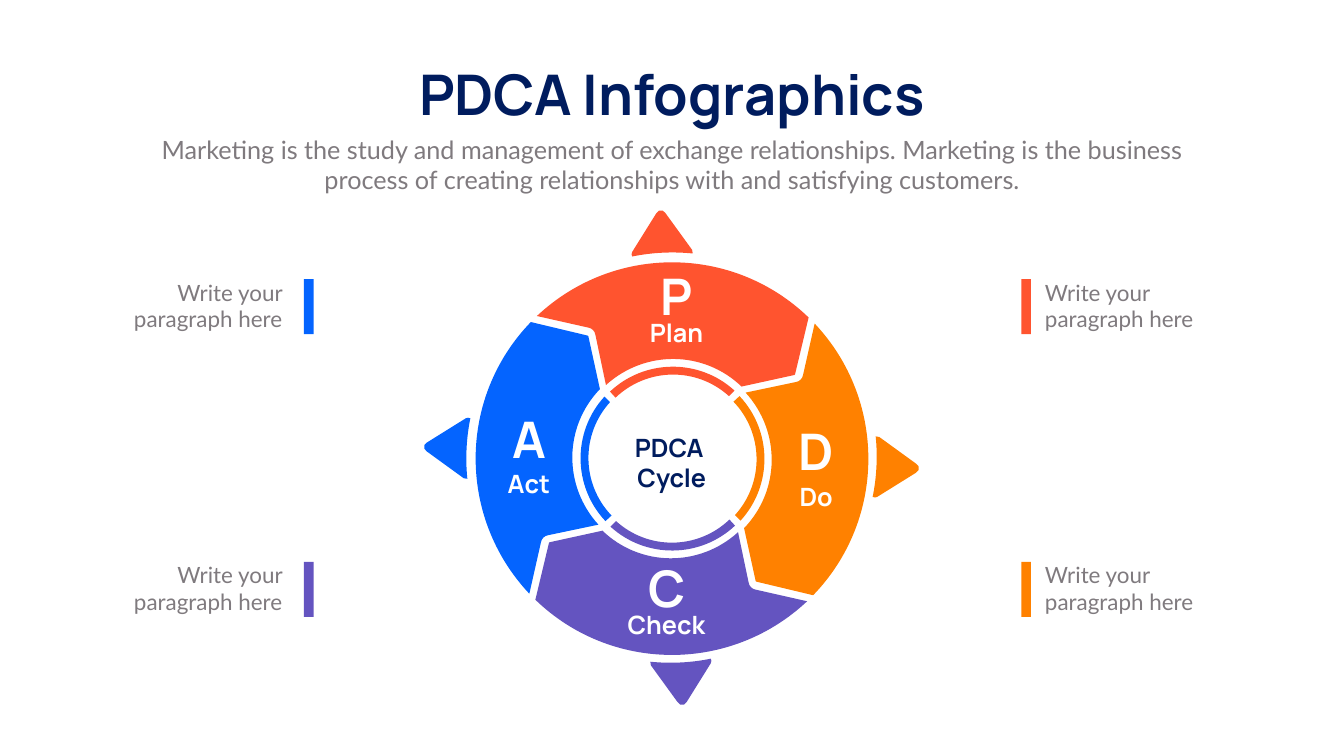
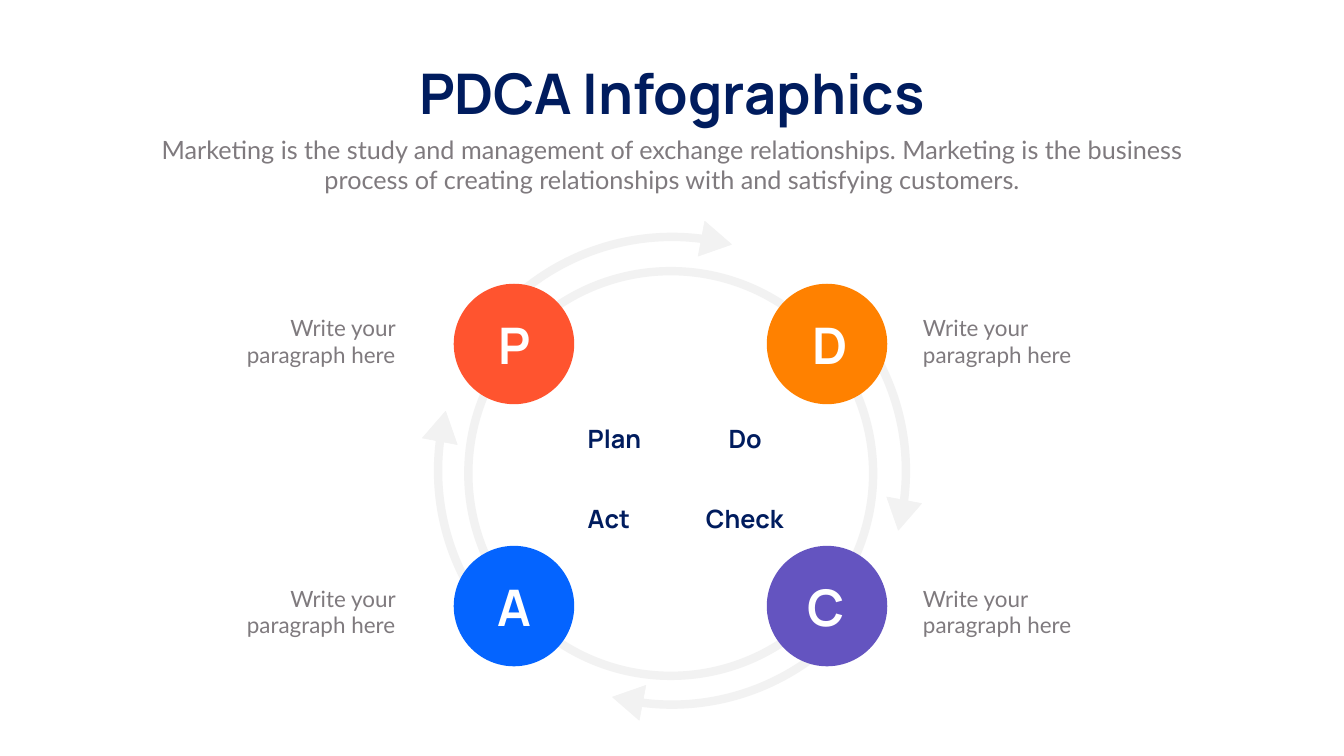
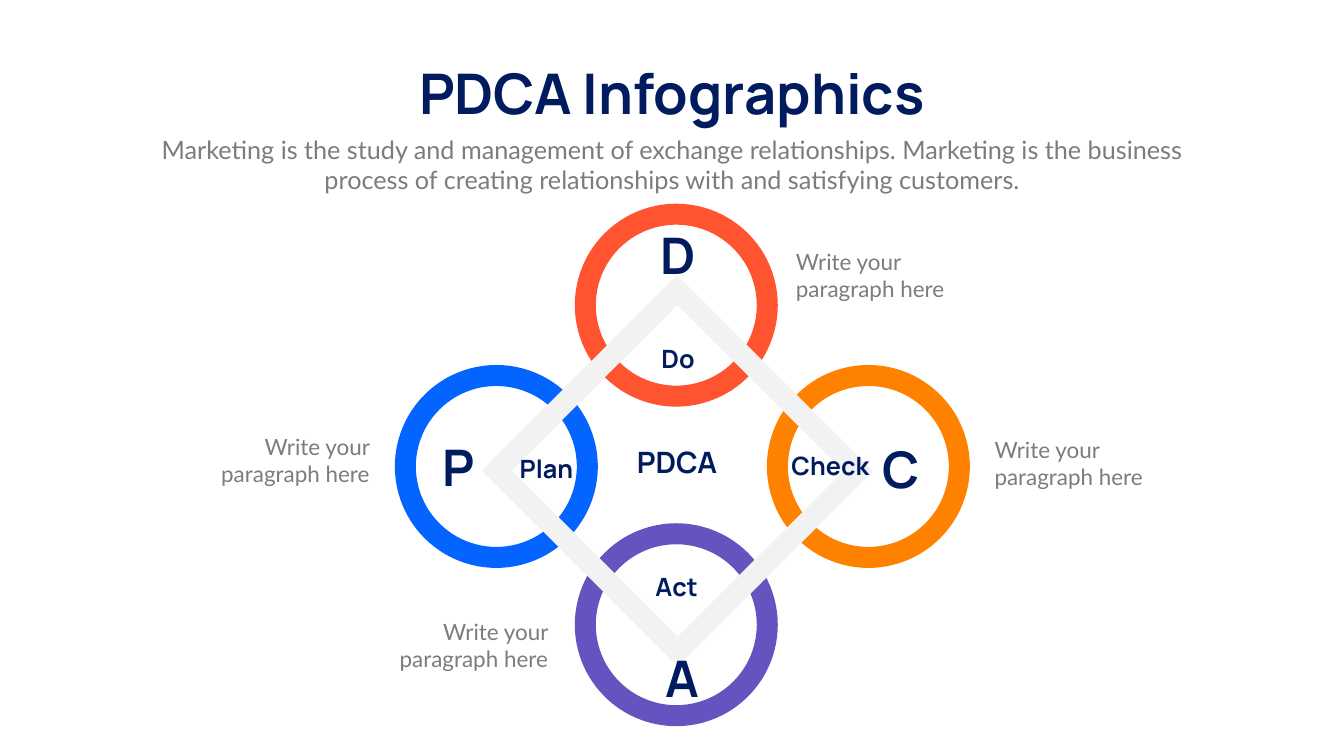
from math import cos, radians, sin

from pptx import Presentation
from pptx.dml.color import RGBColor
from pptx.enum.shapes import MSO_SHAPE
from pptx.enum.text import MSO_AUTO_SIZE, PP_ALIGN
from pptx.oxml.ns import qn
from pptx.oxml.xmlchemy import OxmlElement
from pptx.util import Pt

PX = 9144
RECT, OVAL = MSO_SHAPE.RECTANGLE, MSO_SHAPE.OVAL
LEFT, CENTER, RIGHT = PP_ALIGN.LEFT, PP_ALIGN.CENTER, PP_ALIGN.RIGHT
FIT = MSO_AUTO_SIZE.SHAPE_TO_FIT_TEXT

COLORS = {
    "navy": "001C5E", "gray": "7F7A7E", "white": "FFFFFF", "pale": "F2F2F2",
    "red": "FF542F", "orange": "FF8100", "purple": "6454C0", "blue": "0464FF",
}
HEAD_FONT, BODY_FONT = "Manrope", "Lato"
TITLE = "PDCA Infographics"
INTRO = ("Marketing is the study and management of exchange relationships. "
         "Marketing is the business process of creating relationships with "
         "and satisfying customers.")
NOTE = "Write your paragraph here"


def add_text(s, text, x, y, w, h, size, color="navy", align=CENTER,
             font=HEAD_FONT, wrap=True):
    tf = s.shapes.add_textbox(x * PX, y * PX, w * PX, h * PX).text_frame
    tf.word_wrap = wrap
    tf.auto_size = FIT
    p = tf.paragraphs[0]
    p.alignment = align
    for i, line in enumerate(text.split("\n")):
        if i:
            p.add_line_break()
        r = p.add_run()
        r.text = line
        r.font.name = font
        r.font.size = Pt(size)
        r.font.bold = font == HEAD_FONT
        r.font.color.rgb = RGBColor.from_string(COLORS[color])


def add_form(s, kind, geometry, fill=None, line=None, width=0, rotation=0):
    if kind is None:
        c, d = cos(radians(rotation)), sin(radians(rotation))
        path = [[((x * c + y * d) * PX, (y * c - x * d) * PX) for x, y in seg]
                for seg in geometry]
        edge = [path[0][0]]
        for before, seg in zip(path, path[1:]):
            if len(seg) == 3:
                for t in (i / 20 for i in range(1, 20)):
                    weights = ((1 - t) ** 3, 3 * t * (1 - t) ** 2,
                               3 * t * t * (1 - t), t ** 3)
                    curve = [before[-1]] + seg
                    edge.append(tuple(sum(k * pt[n] for k, pt in zip(weights, curve))
                                      for n in (0, 1)))
            edge.append(seg[-1])
        x0, y0 = (min(pt[n] for pt in edge) for n in (0, 1))
        w, h = (max(pt[n] for pt in edge) - low for n, low in ((0, x0), (1, y0)))
        mid_x, mid_y = x0 + w / 2, y0 + h / 2
        points = [pt for seg in path for pt in seg]
        builder = s.shapes.build_freeform(*points[0])
        builder.add_line_segments(points[1:], close=fill is not None)
        sp = builder.convert_to_shape()
        sp.left = round(mid_x * c - mid_y * d - w / 2)
        sp.top = round(mid_x * d + mid_y * c - h / 2)
        sp.width, sp.height = round(w), round(h)
        outline = sp._element.find(".//" + qn("a:path"))
        outline.set("w", str(round(w)))
        outline.set("h", str(round(h)))
        for node, (x, y) in zip(outline.iter(qn("a:pt")), points):
            node.set("x", str(round(x - x0)))
            node.set("y", str(round(y - y0)))
        steps_left = iter(outline.findall(qn("a:lnTo")))
        for seg in path[1:]:
            nodes = [next(steps_left) for _ in seg]
            if len(seg) == 3:
                bezier = OxmlElement("a:cubicBezTo")
                nodes[0].addprevious(bezier)
                for node in nodes:
                    bezier.append(node[0])
                    outline.remove(node)
    else:
        sp = s.shapes.add_shape(kind, *(v * PX for v in geometry))
    sp.rotation = rotation
    sp.shadow.inherit = False
    if fill:
        sp.fill.solid()
        sp.fill.fore_color.rgb = RGBColor.from_string(COLORS[fill])
    else:
        sp.fill.background()
    if line:
        sp.line.color.rgb = RGBColor.from_string(COLORS[line])
        sp.line.width = Pt(width)
    else:
        sp.line.fill.background()
    return sp


segment = [
    [(138, -143)], [(243, -166)], [(244, -166), (244, -166), (244, -167)],
    [(271, -280)], [(121, -425), (-116, -426), (-268, -283)],
    [(-166, -260)], [(-159, -259), (-153, -253), (-152, -246)],
    [(-131, -146)], [(-54, -216), (63, -215), (138, -143)],
]
band = [
    [(112, -124)], [(123, -135)], [(53, -199), (-55, -198), (-124, -133)],
    [(-113, -121)], [(-50, -181), (48, -182), (112, -124)],
]
pointer = [
    [(42, -405)], [(42, -407), (42, -410), (41, -412)],
    [(-12, -485)], [(-14, -490), (-20, -492), (-25, -490)],
    [(-27, -489), (-29, -487), (-30, -485)],
    [(-78, -408)], [(-80, -405), (-79, -402), (-78, -399)],
    [(-39, -407), (2, -409), (42, -405)],
]
arc = [[(-359, -294)], [(-256, -420), (-93, -483), (68, -459)]]
arrowhead = [[(52, -426)], [(118, -449)], [(65, -495)], [(52, -426)]]

turns = [(1, 0, 0, 1), (0, -1, 1, 0), (-1, 0, 0, -1), (0, 1, -1, 0)]
flips = [(1, 0, 0, 1), (0, -1, -1, 0), (-1, 0, 0, -1), (0, 1, 1, 0)]

prs = Presentation()
prs.slide_width, prs.slide_height = 2666 * PX, 1500 * PX
slides = []
for x, y, w in ((783, 114, 1100), (785, 112, 1096), (785, 112, 1096)):
    s = prs.slides.add_slide(prs.slide_layouts[6])
    add_text(s, TITLE, x, y, w, 145, 80, wrap=False)
    add_text(s, INTRO, 292, 261, 2082, 131, 36, "gray", font=BODY_FONT)
    slides.append(s)
wheel, orbit, diamond = slides

steps = [
    ("P", "Plan", "red", 1268, 521, 1224, 624),
    ("D", "Do", "orange", 1545, 829, 1501, 950),
    ("C", "Check", "purple", 1249, 1101, 1204, 1204),
    ("A", "Act", "blue", 975, 804, 931, 925),
]
for (letter, word, color, lx, ly, wx, wy), turn, flip in zip(steps, turns, flips):
    for part, cx, cy, (a, b, c, d) in (
        (segment, 1333, 910, turn), (band, 1334, 910, turn),
        (pointer, 1332, 908, flip),
    ):
        path = [[(cx + a * x + b * y, cy + c * x + d * y) for x, y in seg]
                for seg in part]
        add_form(wheel, None, path, color, rotation=45)
    add_text(wheel, letter, lx, ly, 149, 131, 72, "white")
    add_text(wheel, word, wx, wy, 236, 71, 36, "white")
for text_x, bar_x, align, colors in (
    (2063, 2026, LEFT, ("red", "orange")),
    (187, 603, RIGHT, ("blue", "purple")),
):
    for y, bar_y, color in zip((548, 1108), (554, 1115), colors):
        add_text(wheel, NOTE, text_x, y, 383, 118, 32, "gray", align, BODY_FONT)
        add_form(wheel, RECT, (bar_x, bar_y, 19, 109), color)
add_text(wheel, "PDCA \nCycle", 1164, 853, 337, 131, 36)

for a, b, c, d in turns:
    for part, fill, width in ((arc, None, 12), (arrowhead, "pale", 0.75)):
        path = [[(1333 + a * x + b * y, 934 + c * x + d * y) for x, y in seg]
                for seg in part]
        add_form(orbit, None, path, fill, "pale", width, 300)
add_form(orbit, OVAL, (929, 538, 803, 803), line="pale", width=12)
for letter, color, x, y, letter_x in (
    ("P", "red", 900, 563, 946), ("D", "orange", 1521, 563, 1572),
    ("A", "blue", 900, 1083, 946), ("C", "purple", 1521, 1083, 1564),
):
    add_form(orbit, OVAL, (x, y, 239, 239), color)
    add_text(orbit, letter, letter_x, y + 56, 149, 131, 72, "white")
for x, align in ((1821, LEFT), (411, RIGHT)):
    for y in (619, 1155):
        add_text(orbit, NOTE, x, y, 383, 118, 32, "gray", align, BODY_FONT)
for word, x, y, w, align in (
    ("Plan", 1156, 834, 136, LEFT), ("Do", 1353, 834, 168, RIGHT),
    ("Act", 1156, 993, 124, LEFT), ("Check", 1372, 993, 192, RIGHT),
):
    add_text(orbit, word, x, y, w, 71, 36, align=align)

for color, x, y in (("red", 1161, 425), ("purple", 1161, 1059),
                    ("orange", 1542, 745), ("blue", 804, 745)):
    add_form(diamond, OVAL, (x, y, 361, 361), "white", color, 30)
sp = add_form(diamond, RECT, (1091, 680, 506, 508), line="pale", width=30,
              rotation=315)
miter = OxmlElement("a:miter")
miter.set("lim", "800000")
sp.line._get_or_add_ln().append(miter)
for letter, x, y in (("P", 835, 860), ("D", 1271, 440),
                     ("A", 1280, 1279), ("C", 1712, 865)):
    add_text(diamond, letter, x, y, 149, 131, 72)
for word, x, y, w, align in (
    ("Do", 1261, 677, 168, CENTER), ("Check", 1555, 889, 184, CENTER),
    ("Plan", 1021, 895, 168, LEFT), ("Act", 1258, 1128, 168, CENTER),
):
    add_text(diamond, word, x, y, w, 71, 36, align=align)
add_text(diamond, "PDCA ", 1180, 877, 337, 81, 42)
for x, y, align in ((1569, 487, LEFT), (1963, 860, LEFT),
                    (764, 1221, RIGHT), (410, 854, RIGHT)):
    add_text(diamond, NOTE, x, y, 333, 118, 32, "gray", align, BODY_FONT)

prs.save("out.pptx")
